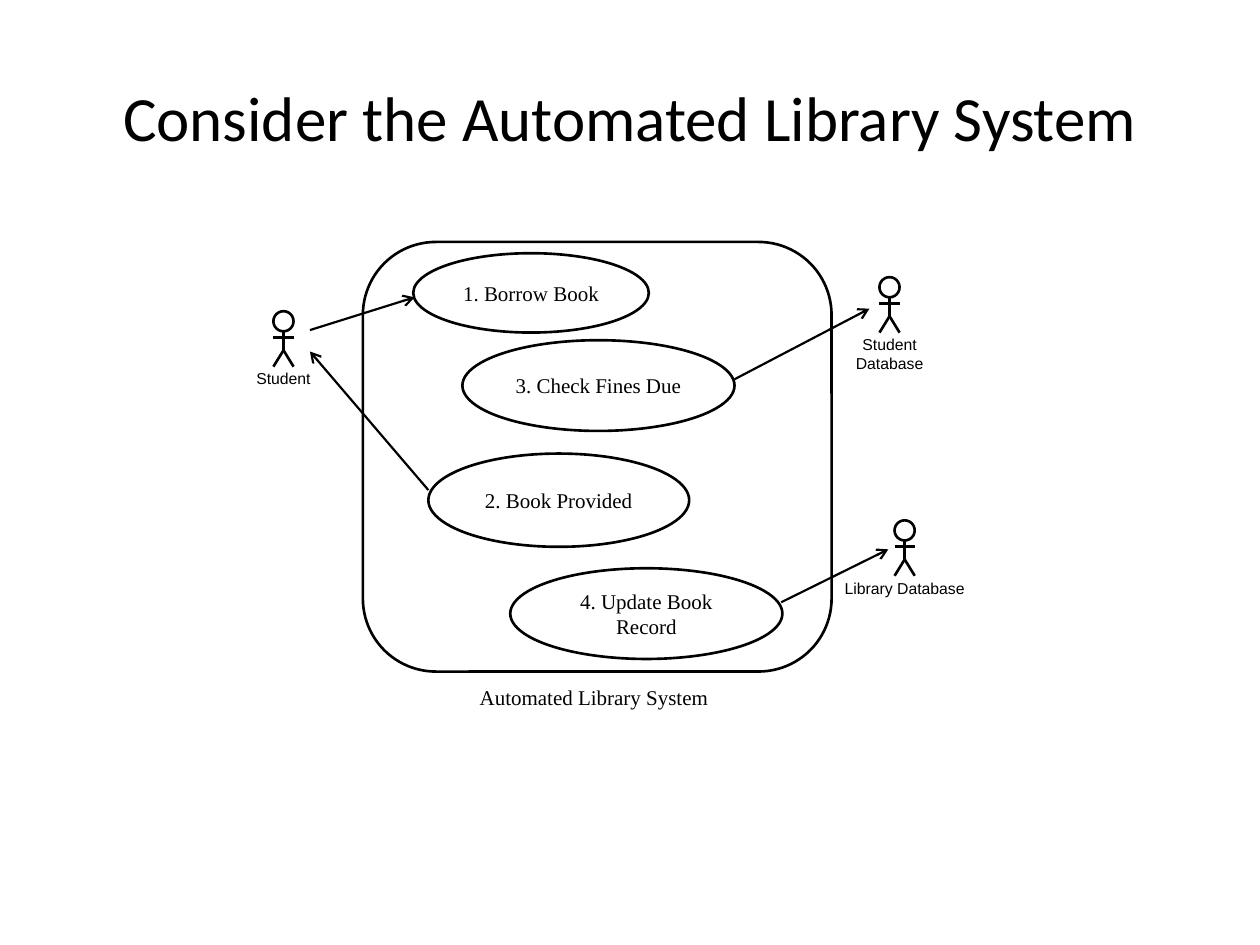
from lxml import etree
from pptx import Presentation
from pptx.dml.color import RGBColor
from pptx.enum import shapes, text
from pptx.oxml.ns import qn
from pptx.util import Inches, Pt

BLACK = RGBColor(0, 0, 0)
WHITE = RGBColor(255, 255, 255)
SERIF = "Times New Roman"
KINDS = shapes.MSO_SHAPE

USE_CASES = [
    ("1. Borrow Book", 3.28, 2.01, 1.87, 0.63),
    ("3. Check Fines Due", 3.67, 2.7, 2.16, 0.72),
    ("2. Book Provided", 3.4, 3.6, 2.07, 0.74),
    ("4. Update Book Record", 4.05, 4.51, 2.16, 0.72),
]
# name, centre of the figure, top of the head, label height
ACTORS = [
    ("Student", 2.25, 2.47, 0.25),
    ("Student Database", 7.06, 2.2, 0.4),
    ("Library Database", 7.18, 4.13, 0.35),
]
MESSAGES = [
    ((2.46, 2.62), (3.29, 2.36)),
    ((3.4, 3.89), (2.46, 2.79)),
    ((5.83, 3.01), (6.9, 2.45)),
    ((6.2, 4.78), (7.05, 4.36)),
]


def write(box, words, *, font=SERIF, size=12, anchor=text.MSO_ANCHOR.TOP):
    """Put centred, wrapped black text into a shape or text box."""
    frame = box.text_frame
    frame.word_wrap = True
    frame.vertical_anchor = anchor
    para = frame.paragraphs[0]
    para.alignment = text.PP_ALIGN.CENTER
    span = para.add_run()
    span.text = words
    span.font.name = font
    span.font.size = Pt(size)
    span.font.color.rgb = BLACK


def add_label(page, words, left, top, width, height, **style):
    box = page.shapes.add_textbox(*map(Inches, (left, top, width, height)))
    write(box, words, **style)


def add_outline(page, kind, left, top, width, height):
    """Add an unfilled shape with a black line."""
    shape = page.shapes.add_shape(kind, *map(Inches, (left, top, width, height)))
    shape.shadow.inherit = False
    shape.fill.background()
    shape.line.color.rgb = BLACK
    shape.line.width = Pt(1.5)
    return shape


def add_line(page, start, end, width=1.5, arrow=False):
    line = page.shapes.add_connector(
        shapes.MSO_CONNECTOR.STRAIGHT, *map(Inches, (*start, *end)))
    line.line.color.rgb = BLACK
    line.line.width = Pt(width)
    if arrow:
        etree.SubElement(line.line._get_or_add_ln(), qn("a:tailEnd"), type="arrow")
    etree.SubElement(line._element.spPr, qn("a:effectLst"))


def add_use_case(page, words, left, top, width, height):
    oval = add_outline(page, KINDS.OVAL, left, top, width, height)
    write(oval, words, anchor=text.MSO_ANCHOR.MIDDLE)


def add_actor(page, name, centre, top, label_height):
    """Draw a stick figure with its name below."""
    reach = 0.08
    hip, foot, arms = top + 0.31, top + 0.44, top + 0.21
    add_outline(page, KINDS.OVAL, centre - reach, top, 2 * reach, 2 * reach)
    add_line(page, (centre, top + 2 * reach), (centre, hip))
    add_line(page, (centre - reach, arms), (centre + reach, arms))
    for side in (-reach, reach):
        add_line(page, (centre, hip), (centre + side, foot))
    width = 1.17
    add_label(page, name, centre - width / 2, top + 0.41, width, label_height,
              font="Arial", size=9)


def main():
    deck = Presentation()
    deck.slide_width, deck.slide_height = Inches(10), Inches(7.5)
    page = deck.slides.add_slide(deck.slide_layouts[6])
    page.background.fill.solid()
    page.background.fill.fore_color.rgb = WHITE

    add_label(page, "Consider the Automated Library System", 0.5, 0.3, 9, 1.25,
              font="Calibri", size=36, anchor=text.MSO_ANCHOR.MIDDLE)
    boundary = add_outline(page, KINDS.ROUNDED_RECTANGLE, 2.88, 1.92, 3.72, 3.41)
    boundary.adjustments[0] = 0.17
    add_label(page, "Automated Library System", 3.46, 5.38, 2.51, 0.53)

    for use_case in USE_CASES:
        add_use_case(page, *use_case)
    for actor in ACTORS:
        add_actor(page, *actor)
    for start, end in MESSAGES:
        add_line(page, start, end, width=1.25, arrow=True)

    deck.save("out.pptx")


if __name__ == "__main__":
    main()
